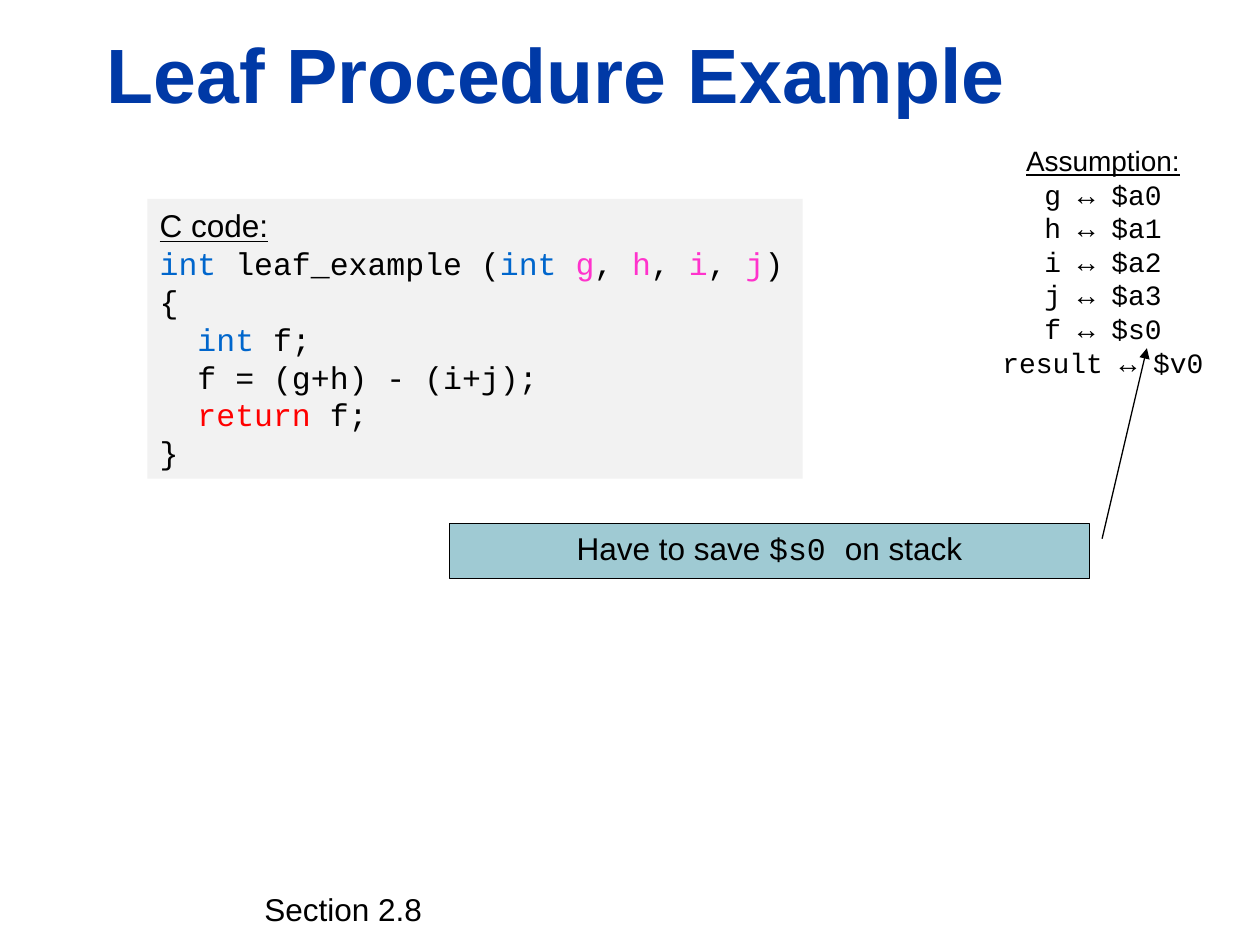
from pptx import Presentation
from pptx.dml.color import RGBColor
from pptx.enum.shapes import MSO_SHAPE as Shape
from pptx.enum.text import MSO_ANCHOR as Anchor, MSO_AUTO_SIZE as Fit, PP_ALIGN as Align
from pptx.oxml.ns import qn
from pptx.util import Cm, Pt
from lxml.etree import SubElement

THEME = {
    "sans": "Arial", "mono": "Courier New",
    "title_size": 44, "body_size": 18, "note_size": 16,
    "title": "0039A6", "text": "000000", "type": "0066CC",
    "param": "FF33CC", "keyword": "FF0000",
    "code_fill": "F2F2F2", "callout_fill": "9FCAD3",
}

# Content: a paragraph is (indent level, runs); a run is (text, font, colour[, style])
TITLE = [(0, [("Leaf Procedure Example", "sans", "title", "bold")])]
SECTION = [(0, [("Section 2.8", "sans", "text")])]
CALLOUT = [(0, [("Have to save ", "sans", "text"), ("$s0 ", "mono", "text"),
                ("on stack", "sans", "text")])]
CODE_LINES = [
    (0, [("int ", "type"), ("leaf_example (", "text"), ("int ", "type"),
         ("g", "param"), (",", "text"), (" h", "param"), (", ", "text"),
         ("i", "param"), (", ", "text"), ("j", "param"), (")", "text")]),
    (0, [("{", "text")]),
    (1, [("int", "type"), (" f;", "text")]),
    (1, [("f = (g+h) - (i+j);", "text")]),
    (1, [("return ", "keyword"), ("f;", "text")]),
    (0, [("}", "text")]),
]
REGISTERS = [("g", "$a0"), ("h", "$a1"), ("i", "$a2"), ("j", "$a3"),
             ("f", "$s0"), ("result", "$v0")]

CODE = [(0, [("C code:", "sans", "text", "underline")])] + [
    (level, [(text, "mono", color) for text, color in runs])
    for level, runs in CODE_LINES]
ASSUMPTION = [(0, [("Assumption:", "sans", "text", "underline")])] + [
    (0, [(f"{name} ↔ {register}", "mono", "text")]) for name, register in REGISTERS]

# Two monospaced characters at body size
INDENT = Pt(2 * 0.6 * THEME["body_size"])


def rgb(key):
    return RGBColor.from_string(THEME[key])


def write(part, paragraphs, size="body_size", align=Align.LEFT,
          anchor=Anchor.TOP, wrap=False, fit=Fit.SHAPE_TO_FIT_TEXT):
    frame = part.text_frame
    frame.word_wrap, frame.auto_size, frame.vertical_anchor = wrap, fit, anchor
    for number, (level, runs) in enumerate(paragraphs):
        line = frame.add_paragraph() if number else frame.paragraphs[0]
        line.alignment = align
        if level:
            line._p.get_or_add_pPr().set("marL", str(level * INDENT))
        for text, face, color, *style in runs:
            run = line.add_run()
            run.text = text
            run.font.name = THEME[face]
            run.font.size = Pt(THEME[size])
            run.font.color.rgb = rgb(color)
            run.font.bold = "bold" in style
            run.font.underline = "underline" in style


def add_box(slide, kind, place, fill):
    box = slide.shapes.add_shape(kind, *map(Cm, place))
    box.shadow.inherit = False
    box.fill.solid()
    box.fill.fore_color.rgb = rgb(fill)
    return box


def add_text(slide, place):
    return slide.shapes.add_textbox(*map(Cm, place))


def main():
    deck = Presentation()
    deck.slide_width, deck.slide_height = Cm(25.4), Cm(19.05)
    slide = deck.slides.add_slide(deck.slide_layouts[6])

    # Title
    title = add_text(slide, (1.9, 0.4, 22.94, 2.12))
    write(title, TITLE, "title_size", anchor=Anchor.BOTTOM, wrap=True)

    # Callout whose leader points at $s0
    callout = add_box(slide, Shape.LINE_CALLOUT_1, (9.06, 10.55, 12.9, 1.11),
                      "callout_fill")
    for index, value in enumerate((0.28, 1.02, -3.18, 1.09)):
        callout.adjustments[index] = value
    callout.line.color.rgb = rgb("text")
    callout.line.width = Pt(0.75)
    SubElement(callout.line._get_or_add_ln(), qn("a:tailEnd"), type="triangle")
    write(callout, CALLOUT, align=Align.CENTER, wrap=True, fit=Fit.NONE)

    # C code
    code = add_box(slide, Shape.RECTANGLE, (2.97, 4.01, 13.21, 5.64), "code_fill")
    code.line.fill.background()
    write(code, CODE, anchor=Anchor.MIDDLE)

    # Section reference
    section = add_text(slide, (5.08, 17.81, 3.73, 1.02))
    write(section, SECTION)

    # Register assumptions
    assumption = add_text(slide, (19.91, 2.74, 4.65, 5.05))
    write(assumption, ASSUMPTION, "note_size", Align.CENTER, Anchor.MIDDLE)

    deck.save("out.pptx")


if __name__ == "__main__":
    main()
